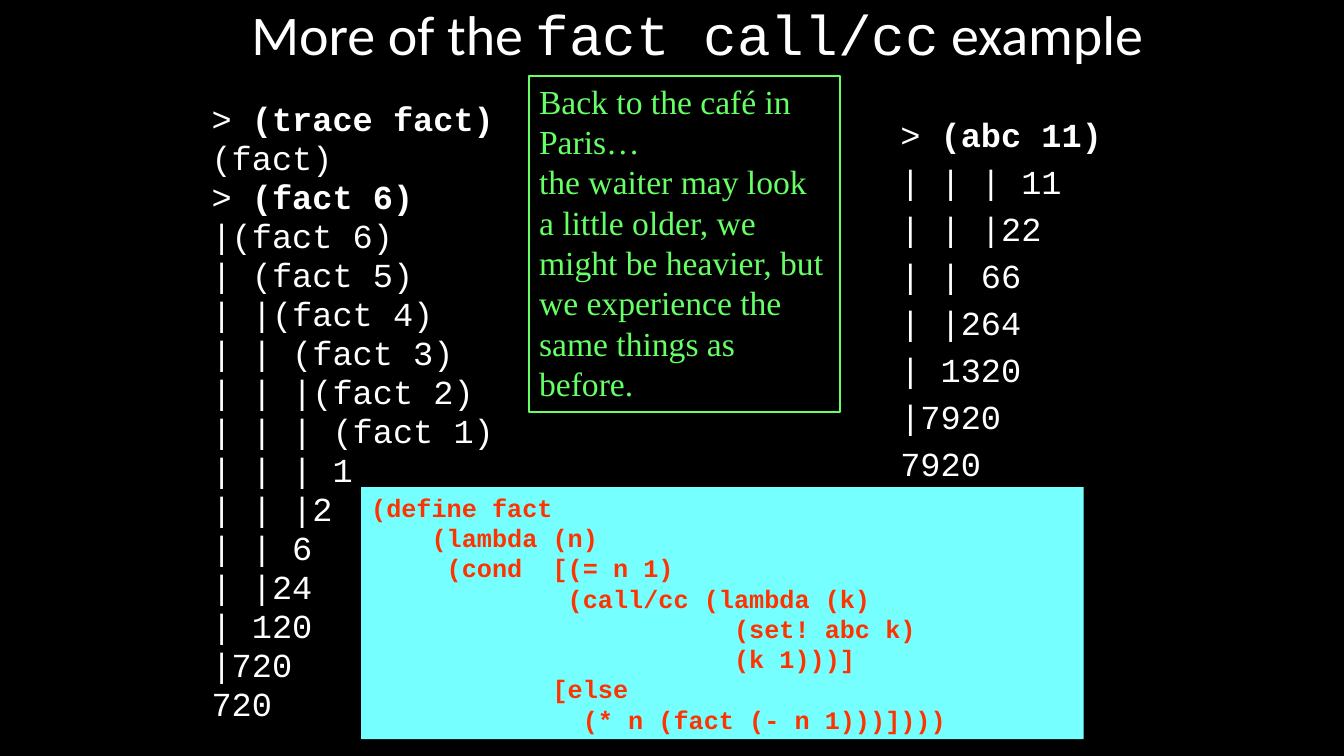
import pptx
import pptx.util
import pptx.dml.color
import pptx.enum.shapes
import pptx.enum.text
from dataclasses import dataclass

# Runs are (text, style) pairs; places are left, top, width, height in grid cells.
TITLE = [("More of the ", "sans"), ("fact call/cc", "mono"), (" example", "sans")]
TITLE_PLACE = (20, 0, 126, 8)

TRACES = [
    {
        "place": (24, 12, 52, 74),
        "line_spacing": 0.8,
        "lines": [
            "> (trace fact)", "(fact)", "> (fact 6)", "|(fact 6)", "| (fact 5)",
            "| |(fact 4)", "| | (fact 3)", "| | |(fact 2)", "| | | (fact 1)",
            "| | | 1", "| | |2", "| | 6", "| |24", "| 120", "|720", "720",
        ],
    },
    {
        "place": (106, 13, 37, 48),
        "line_spacing": 1.0,
        "lines": [
            "> (abc 11)", "| | | 11", "| | |22", "| | 66", "| |264", "| 1320",
            "|7920", "7920",
        ],
    },
]
PROMPT = "> "

CODE_PLACE = (43, 58, 86, 30)
CODE = [
    "(define fact",
    "    (lambda (n)",
    "     (cond  [(= n 1)",
    "             (call/cc (lambda (k)",
    "                        (set! abc k)",
    "                        (k 1)))]",
    "            [else",
    "              (* n (fact (- n 1)))])))",
]

CAFE_PLACE = (63, 9, 37, 40)
CAFE = [
    "Back to the café in Paris… ",
    "the waiter may look a little older, we might be heavier, "
    "but we experience the same things as before.",
]

COLUMNS, ROWS = 160, 90
CELL = pptx.util.Inches(1 / 12)
HANGING = 4.5 * CELL


@dataclass(frozen=True)
class Theme:
    background: str = "000000"
    text: str = "FFFFFF"
    code_fill: str = "75FFFF"
    code_text: str = "FF3300"
    cafe: str = "66FF66"
    sans: str = "Calibri"
    mono: str = "Courier New"
    serif: str = "Times New Roman"
    title_size: float = 40
    body_size: float = 24
    code_size: float = 18
    paragraph_gap: float = 4.8
    border: float = 1.5


THEME = Theme()


def color(value):
    return pptx.dml.color.RGBColor.from_string(value)


def cells(place):
    return [int(length * CELL) for length in place]


def add_run(paragraph, text, font, size, text_color, bold=False):
    run = paragraph.add_run()
    run.text = text
    run.font.name = font
    run.font.size = pptx.util.Pt(size)
    run.font.bold = bold
    run.font.color.rgb = color(text_color)


def paragraphs(frame, count):
    """Yield the first paragraph of a frame, then new ones, up to count."""
    yield frame.paragraphs[0]
    for _ in range(count - 1):
        yield frame.add_paragraph()


def add_title(slide):
    title = slide.shapes.title
    title.left, title.top, title.width, title.height = cells(TITLE_PLACE)
    frame = title.text_frame
    frame.word_wrap = True
    frame.auto_size = pptx.enum.text.MSO_AUTO_SIZE.NONE
    frame.vertical_anchor = pptx.enum.text.MSO_ANCHOR.MIDDLE
    paragraph = frame.paragraphs[0]
    paragraph.alignment = pptx.enum.text.PP_ALIGN.CENTER
    for text, style in TITLE:
        add_run(paragraph, text, getattr(THEME, style), THEME.title_size, THEME.text)


def add_trace(slide, place, line_spacing, lines):
    frame = slide.shapes.add_textbox(*cells(place)).text_frame
    frame.word_wrap = True
    for index, paragraph in enumerate(paragraphs(frame, len(lines))):
        properties = paragraph._p.get_or_add_pPr()
        properties.set("marL", str(int(HANGING)))
        properties.set("indent", str(-int(HANGING)))
        paragraph.line_spacing = line_spacing
        if index:
            paragraph.space_before = pptx.util.Pt(THEME.paragraph_gap)
        line = lines[index]
        style = (THEME.mono, THEME.body_size, THEME.text)
        if line.startswith(PROMPT):
            add_run(paragraph, PROMPT, *style)
            add_run(paragraph, line.removeprefix(PROMPT), *style, bold=True)
        else:
            add_run(paragraph, line, *style)


def add_panel(slide, place, fill=None, line=None):
    """Add a rectangle with left-aligned text and return its text frame."""
    panel = slide.shapes.add_shape(
        pptx.enum.shapes.MSO_SHAPE.RECTANGLE, *cells(place))
    panel.shadow.inherit = False
    if fill:
        panel.fill.solid()
        panel.fill.fore_color.rgb = color(fill)
    else:
        panel.fill.background()
    if line:
        panel.line.color.rgb = color(line)
        panel.line.width = pptx.util.Pt(THEME.border)
    else:
        panel.line.fill.background()
    frame = panel.text_frame
    frame.word_wrap = True
    frame.auto_size = pptx.enum.text.MSO_AUTO_SIZE.SHAPE_TO_FIT_TEXT
    frame.vertical_anchor = pptx.enum.text.MSO_ANCHOR.TOP
    return frame


def add_code(slide):
    frame = add_panel(slide, CODE_PLACE, fill=THEME.code_fill)
    for paragraph, line in zip(paragraphs(frame, len(CODE)), CODE):
        paragraph.alignment = pptx.enum.text.PP_ALIGN.LEFT
        add_run(paragraph, line, THEME.mono, THEME.code_size, THEME.code_text, bold=True)


def add_cafe(slide):
    paragraph = add_panel(slide, CAFE_PLACE, line=THEME.cafe).paragraphs[0]
    paragraph.alignment = pptx.enum.text.PP_ALIGN.LEFT
    for index, text in enumerate(CAFE):
        if index:
            paragraph.add_line_break()
        add_run(paragraph, text, THEME.serif, THEME.body_size, THEME.cafe)


def main():
    presentation = pptx.Presentation()
    presentation.slide_width = int(COLUMNS * CELL)
    presentation.slide_height = int(ROWS * CELL)
    title_only = presentation.slide_layouts[5]
    slide = presentation.slides.add_slide(title_only)
    slide.background.fill.solid()
    slide.background.fill.fore_color.rgb = color(THEME.background)
    add_code(slide)
    add_title(slide)
    for trace in TRACES:
        add_trace(slide, **trace)
    add_cafe(slide)
    presentation.save("out.pptx")


if __name__ == "__main__":
    main()
